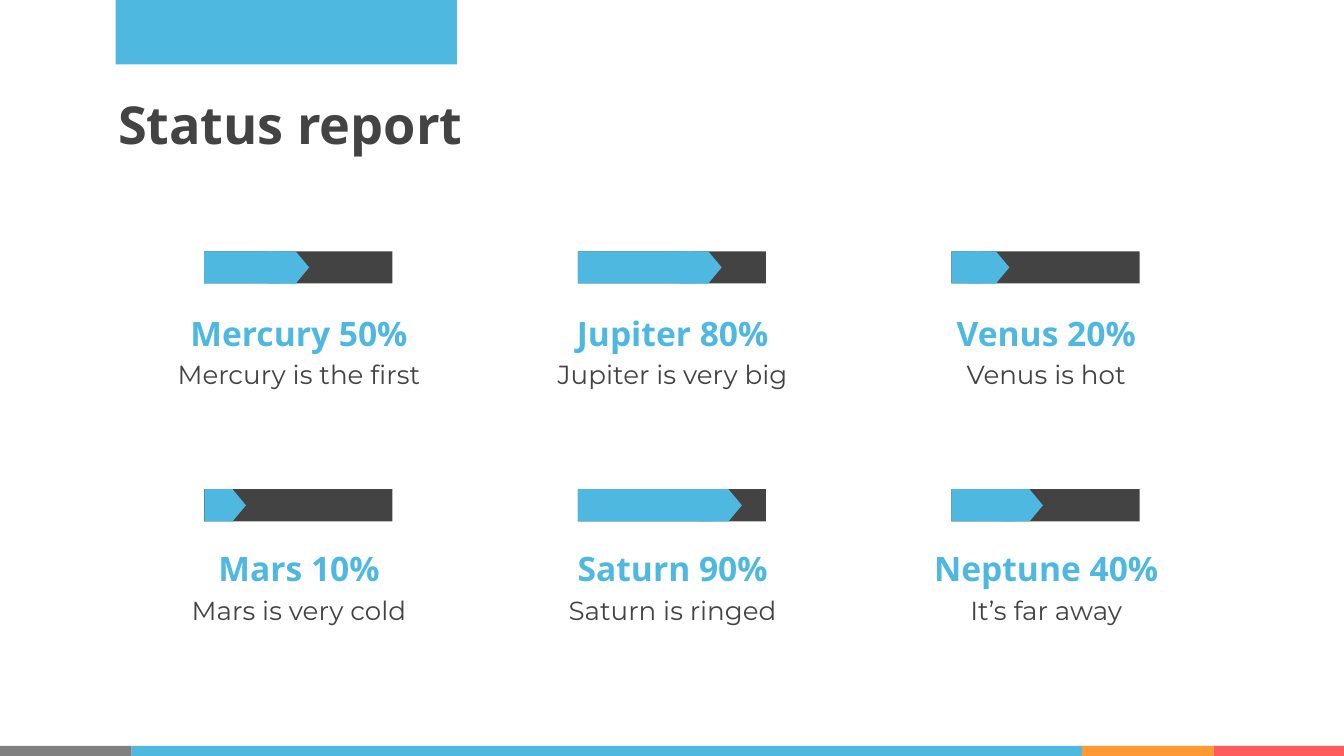
from pptx import Presentation
from pptx import util as u
from pptx.dml.color import RGBColor
from pptx.enum import shapes, text

BLUE, DARK = "4EB8E1", "434343"
GREY, ORANGE, RED = "808080", "FF9933", "FF5D5D"
HEADING_FONT, BODY_FONT = "Open Sans", "Montserrat"

SLIDE_W = 10
SLIDE_H = SLIDE_W * 9 / 16
COLUMNS = 3
COLUMN_STEP = 2.78
BAR_LEFT, BAR_TOP, BAR_STEP = 1.52, 1.87, 1.77
CAPTION_LEFT, CAPTION_TOP, CAPTION_STEP = 1.17, 2.18, 1.75
BAR_W, BAR_H = 1.4, 0.24
TIP_W, TIP_SHOULDER = 0.31, 0.21

# Heading, description, distance the filled part reaches along the bar
PLANETS = [
    ("Mercury 50%", "Mercury is the first", 0.78),
    ("Jupiter 80%", "Jupiter is very big", 1.07),
    ("Venus 20%", "Venus is hot", 0.43),
    ("Mars 10%", "Mars is very cold", 0.31),
    ("Saturn 90%", "Saturn is ringed", 1.22),
    ("Neptune 40%", "It’s far away", 0.68),
]


def color(hex_value):
    return RGBColor.from_string(hex_value)


def paint(shape, fill):
    shape.shadow.inherit = False
    shape.fill.solid()
    shape.fill.fore_color.rgb = color(fill)
    shape.line.fill.background()


def add_rect(slide, left, top, width, height, fill):
    rect = slide.shapes.add_shape(
        shapes.MSO_SHAPE.RECTANGLE,
        u.Inches(left), u.Inches(top), u.Inches(width), u.Inches(height))
    paint(rect, fill)


def add_text(slide, left, top, width, height, words, size, font, ink,
             bold=False, align=text.PP_ALIGN.LEFT):
    """Add a one-paragraph text box and return its paragraph."""
    box = slide.shapes.add_textbox(
        u.Inches(left), u.Inches(top), u.Inches(width), u.Inches(height))
    frame = box.text_frame
    frame.word_wrap = True
    frame.vertical_anchor = text.MSO_ANCHOR.TOP
    frame.margin_left = frame.margin_right = u.Inches(0.1)
    frame.margin_top = frame.margin_bottom = u.Inches(0.1)
    paragraph = frame.paragraphs[0]
    paragraph.text = words
    paragraph.alignment = align
    run_font = paragraph.runs[0].font
    run_font.name, run_font.size, run_font.bold = font, u.Pt(size), bold
    run_font.color.rgb = color(ink)
    return paragraph


def add_footer_stripe(slide, top, height):
    left = 0
    for width, fill in [(0.98, GREY), (7.07, BLUE), (0.98, ORANGE), (0.97, RED)]:
        add_rect(slide, left, top, width, height, fill)
        left += width


def add_header(slide, left, top):
    add_rect(slide, left, top, 2.54, 0.48, BLUE)
    add_text(slide, left - 0.08, top + 0.59, 8.88, 0.83, "Status report",
             28, HEADING_FONT, DARK, bold=True)


def add_progress_bar(slide, left, top, reach):
    """Draw the track, the arrow tip ending at reach, and the fill behind it."""
    add_rect(slide, left, top, BAR_W, BAR_H, DARK)
    tip_left = left + reach - TIP_W
    outline = [
        (tip_left, top + BAR_H),
        (tip_left + TIP_SHOULDER, top + BAR_H),
        (tip_left + TIP_W, top + BAR_H / 2),
        (tip_left + TIP_SHOULDER, top),
    ]
    builder = slide.shapes.build_freeform(u.Inches(tip_left), u.Inches(top))
    builder.add_line_segments(
        [(u.Inches(x), u.Inches(y)) for x, y in outline], close=True)
    paint(builder.convert_to_shape(), BLUE)
    if reach > TIP_W:
        add_rect(slide, left, top, reach - TIP_SHOULDER, BAR_H, BLUE)


def add_caption(slide, left, top, heading, description):
    center = text.PP_ALIGN.CENTER
    paragraph = add_text(slide, left, top, 2.11, 0.42, heading,
                         18, HEADING_FONT, BLUE, bold=True, align=center)
    paragraph.line_spacing = 1.15
    paragraph.space_after = u.Pt(16)
    add_text(slide, left, top + 0.39, 2.11, 0.81, description,
             14, BODY_FONT, DARK, align=center)


def main():
    deck = Presentation()
    deck.slide_width, deck.slide_height = u.Inches(SLIDE_W), u.Inches(SLIDE_H)
    slide = deck.slides.add_slide(deck.slide_layouts[6])

    add_footer_stripe(slide, 5.55, 0.08)
    add_header(slide, 0.86, 0)
    for index, (heading, description, reach) in enumerate(PLANETS):
        row, column = divmod(index, COLUMNS)
        shift = column * COLUMN_STEP
        add_progress_bar(slide, BAR_LEFT + shift, BAR_TOP + row * BAR_STEP, reach)
        add_caption(slide, CAPTION_LEFT + shift, CAPTION_TOP + row * CAPTION_STEP,
                    heading, description)

    deck.save("out.pptx")


if __name__ == "__main__":
    main()
